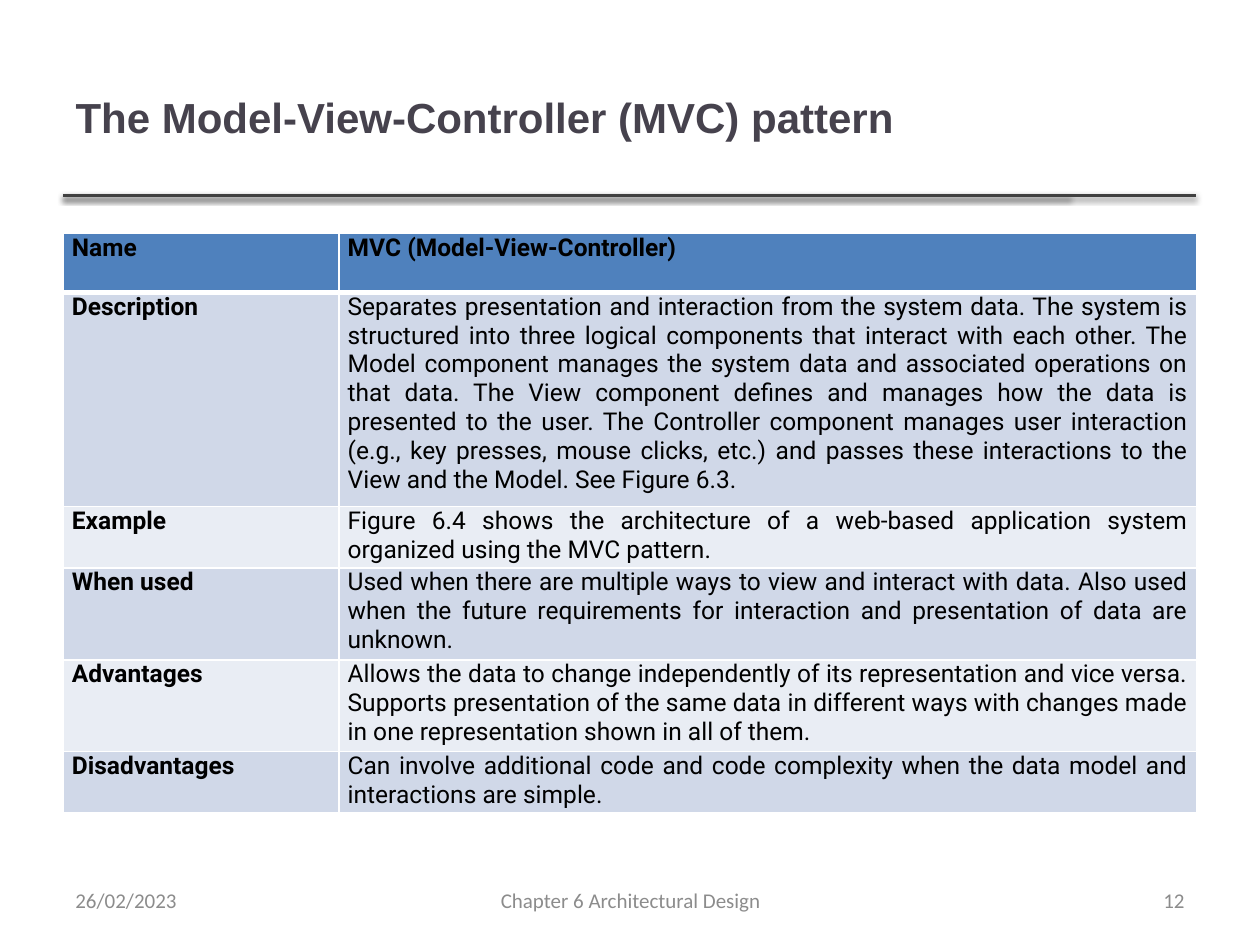
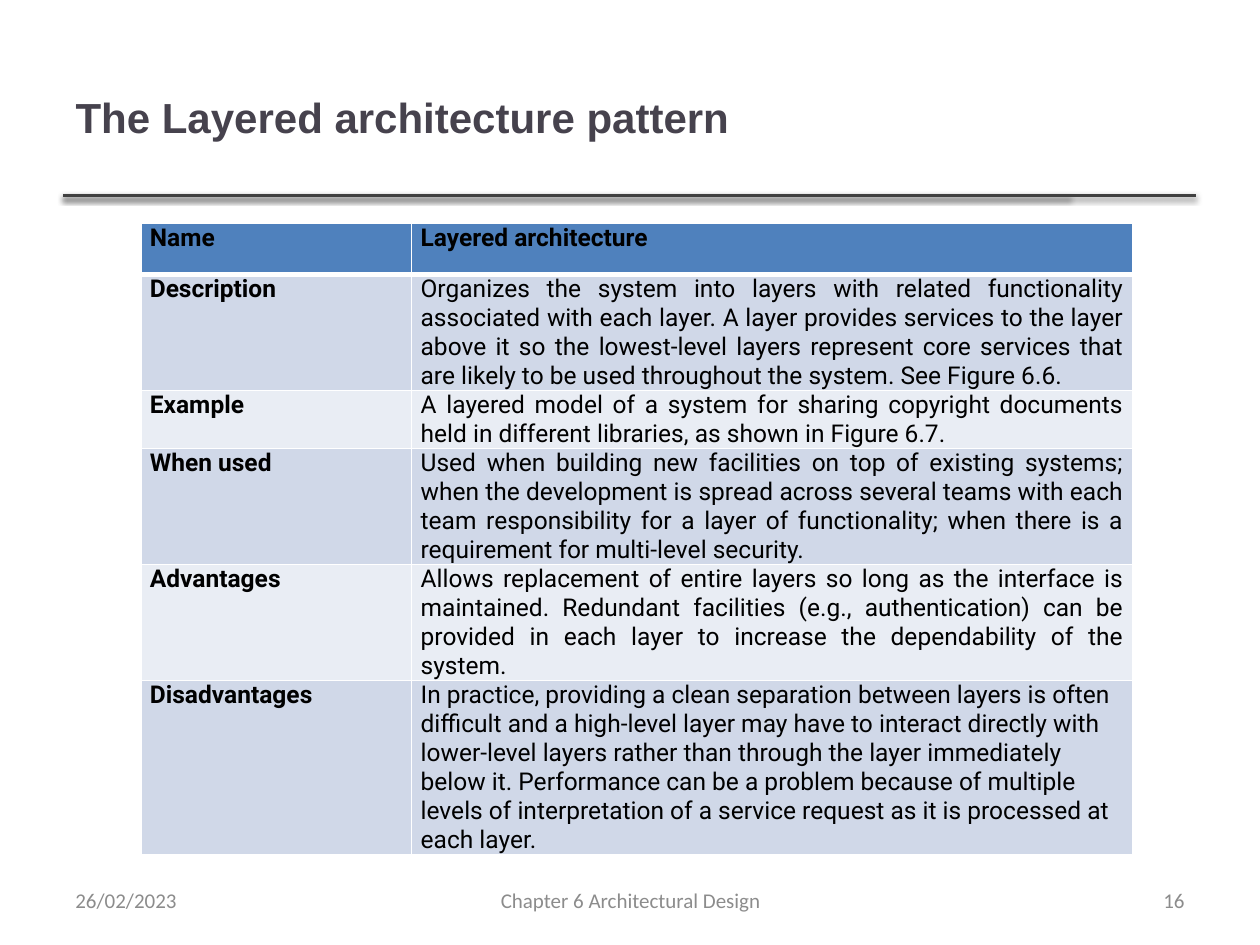
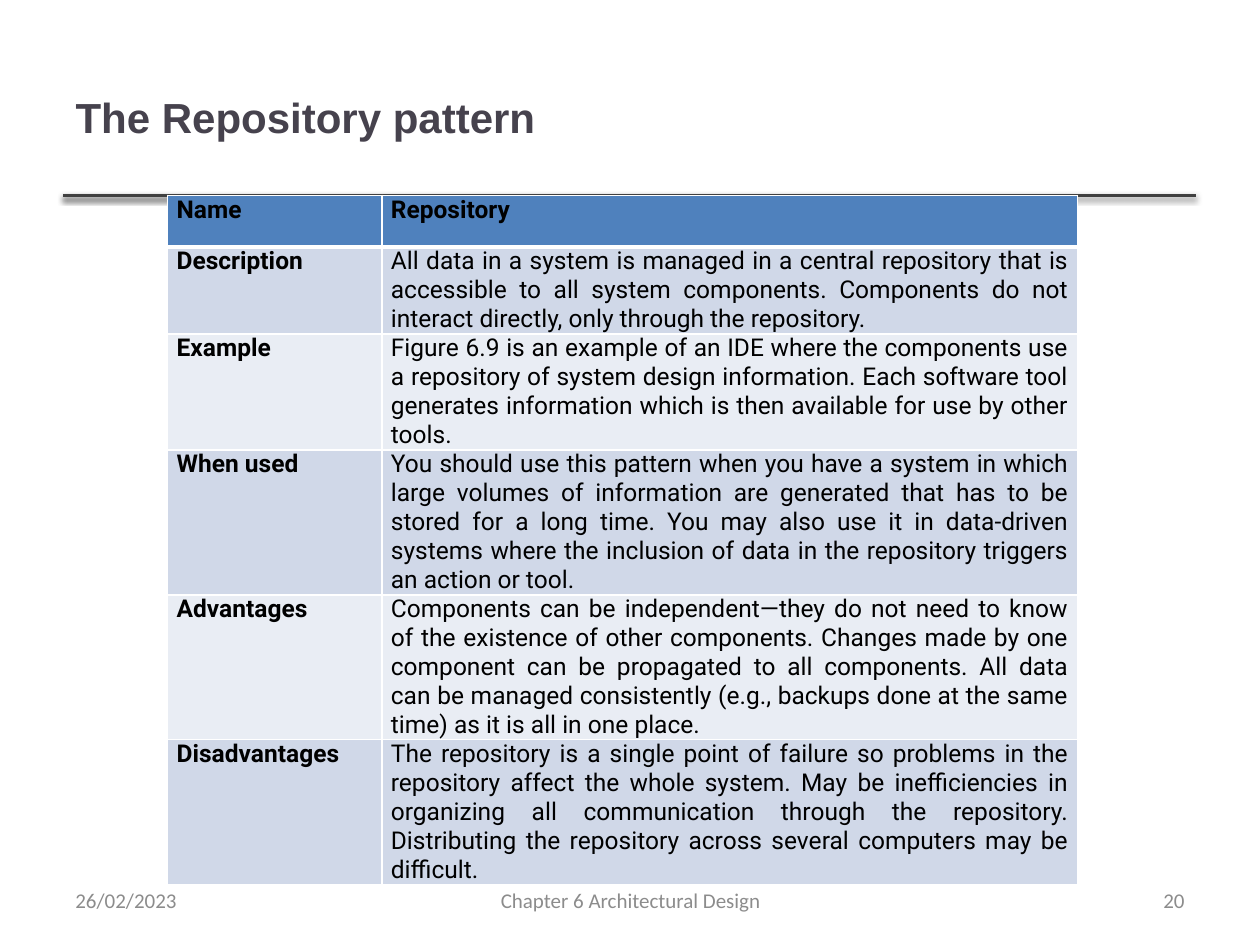
import pptx
import pptx.dml.color
import pptx.enum.shapes
import pptx.enum.text
import pptx.oxml
import pptx.oxml.ns
import pptx.util

Cm = pptx.util.Cm
Pt = pptx.util.Pt
ALIGN = pptx.enum.text.PP_ALIGN
MIDDLE = pptx.enum.text.MSO_ANCHOR.MIDDLE

COLORS = {
    "title": "46424D",
    "rule": "404040",
    "footer": "8C8C8C",
    "text": "000000",
    "header": "4F81BD",
    "band_dark": "D0D8E8",
    "band_light": "E9EDF4",
    "border": "FFFFFF",
    "shadow": "000000",
}
FORMATS = {
    "title": {"name": "Arial", "size": Pt(24), "bold": True},
    "footer": {"name": "Calibri", "size": Pt(12), "bold": False},
    "label": {"name": "Roboto", "size": Pt(14), "bold": True},
    "detail": {"name": "Roboto", "size": Pt(14), "bold": False},
}
LABELS = ["Name", "Description", "Example", "When used", "Advantages", "Disadvantages"]
EVEN_ROWS = [1.04] * len(LABELS)

PATTERNS = [
    {
        "title": "The Model-View-Controller (MVC) pattern",
        "number": "12",
        "box": (1.27, 4.7, 22.86, 11.68),
        "cols": (5.56, 17.3),
        "rows": [1.19, 4.32, 1.24, 1.85, 1.85, 1.24],
        "last_align": ALIGN.JUSTIFY,
        "details": [
            "MVC (Model-View-Controller)",
            "Separates presentation and interaction from the system data. The system is "
            "structured into three logical components that interact with each other. The "
            "Model component manages the system data and associated operations on that "
            "data. The View component defines and manages how the data is presented to the "
            "user. The Controller component manages user interaction (e.g., key presses, "
            "mouse clicks, etc.) and passes these interactions to the View and the Model. "
            "See Figure 6.3.",
            "Figure 6.4 shows the architecture of a web-based application system organized "
            "using the MVC pattern.",
            "Used when there are multiple ways to view and interact with data. Also used "
            "when the future requirements for interaction and presentation of data are "
            "unknown.",
            "Allows the data to change independently of its representation and vice versa. "
            "Supports presentation of the same data in different ways with changes made in "
            "one representation shown in all of them.",
            "Can involve additional code and code complexity when the data model and "
            "interactions are simple.",
        ],
    },
    {
        "title": "The Layered architecture pattern",
        "number": "16",
        "box": (2.84, 4.5, 19.99, 12.88),
        "cols": (5.46, 14.53),
        "rows": EVEN_ROWS,
        "last_align": ALIGN.LEFT,
        "details": [
            "Layered architecture",
            "Organizes the system into layers with related functionality associated with "
            "each layer. A layer provides services to the layer above it so the "
            "lowest-level layers represent core services that are likely to be used "
            "throughout the system. See Figure 6.6.",
            "A layered model of a system for sharing copyright documents held in different "
            "libraries, as shown in Figure 6.7.",
            "Used when building new facilities on top of existing systems; when the "
            "development is spread across several teams with each team responsibility for "
            "a layer of functionality; when there is a requirement for multi-level security.",
            "Allows replacement of entire layers so long as the interface is maintained. "
            "Redundant facilities (e.g., authentication) can be provided in each layer to "
            "increase the dependability of the system.",
            "In practice, providing a clean separation between layers is often difficult "
            "and a high-level layer may have to interact directly with lower-level layers "
            "rather than through the layer immediately below it. Performance can be a "
            "problem because of multiple levels of interpretation of a service request as "
            "it is processed at each layer.",
        ],
    },
    {
        "title": "The Repository pattern",
        "number": "20",
        "box": (3.38, 3.94, 18.34, 14.07),
        "cols": (4.32, 14.02),
        "rows": EVEN_ROWS,
        "last_align": ALIGN.JUSTIFY,
        "details": [
            "Repository",
            "All data in a system is managed in a central repository that is accessible to "
            "all system components. Components do not interact directly, only through the "
            "repository.",
            "Figure 6.9 is an example of an IDE where the components use a repository of "
            "system design information. Each software tool generates information which is "
            "then available for use by other tools.",
            "You should use this pattern when you have a system in which large volumes of "
            "information are generated that has to be stored for a long time. You may also "
            "use it in data-driven systems where the inclusion of data in the repository "
            "triggers an action or tool.",
            "Components can be independent—they do not need to know of the existence of "
            "other components. Changes made by one component can be propagated to all "
            "components. All data can be managed consistently (e.g., backups done at the "
            "same time) as it is all in one place.",
            "The repository is a single point of failure so problems in the repository "
            "affect the whole system. May be inefficiencies in organizing all communication "
            "through the repository. Distributing the repository across several computers "
            "may be difficult.",
        ],
    },
]


def rgb(name):
    return pptx.dml.color.RGBColor.from_string(COLORS[name])


def set_attrs(obj, values):
    for key, value in values.items():
        setattr(obj, key, value)


def xml(text):
    return pptx.oxml.parse_xml(text.replace(">", f' {pptx.oxml.ns.nsdecls("a")}>', 1))


class Deck:
    def __init__(self):
        self.prs = pptx.Presentation()
        set_attrs(self.prs, {"slide_width": Cm(25.4), "slide_height": Cm(19.05)})
        self.slide = None

    def new_slide(self):
        self.slide = self.prs.slides.add_slide(self.prs.slide_layouts[5])

    def add_text(self, tf, text, style, color, align):
        p = tf.paragraphs[0]
        p.alignment = align
        r = p.add_run()
        r.text = text
        set_attrs(r.font, FORMATS[style])
        r.font.color.rgb = rgb(color)

    def title(self, text):
        sp = self.slide.shapes.title
        set_attrs(sp, {"left": Cm(1.27), "top": Cm(0.76),
                       "width": Cm(20.27), "height": Cm(3.18)})
        set_attrs(sp.text_frame, {"vertical_anchor": MIDDLE, "word_wrap": True})
        self.add_text(sp.text_frame, text, "title", "title", ALIGN.LEFT)

    def rule(self, right):
        y = Cm(3.94)
        sp = self.slide.shapes.add_connector(
            pptx.enum.shapes.MSO_CONNECTOR.STRAIGHT, Cm(1.27), y, Cm(right), y)
        sp.line.width = Pt(2)
        sp.line.color.rgb = rgb("rule")
        sp._element.spPr.append(xml(
            '<a:effectLst><a:outerShdw blurRad="40000" dist="20000" dir="5400000" '
            f'rotWithShape="0"><a:srgbClr val="{COLORS["shadow"]}">'
            '<a:alpha val="38000"/></a:srgbClr></a:outerShdw></a:effectLst>'))

    def footer(self, text, left, width, align):
        sp = self.slide.shapes.add_textbox(Cm(left), Cm(17.65), Cm(width), Cm(1.01))
        set_attrs(sp.text_frame, {"word_wrap": True, "vertical_anchor": MIDDLE})
        self.add_text(sp.text_frame, text, "footer", "footer", align)

    def borders(self, cell, row):
        heavy = {0: "B", 1: "T"}.get(row)
        for side in "LRTB":
            width = Pt(3 if side == heavy else 1)
            cell._tc.get_or_add_tcPr().append(xml(
                f'<a:ln{side} w="{width}"><a:solidFill>'
                f'<a:srgbClr val="{COLORS["border"]}"/></a:solidFill></a:ln{side}>'))

    def cell(self, cell, row, text, style, align):
        set_attrs(cell, {"margin_left": Cm(0.18), "margin_right": Cm(0.18),
                         "margin_top": 0, "margin_bottom": 0})
        self.borders(cell, row)
        cell.fill.solid()
        band = "band_dark" if row % 2 else "band_light"
        cell.fill.fore_color.rgb = rgb(band if row else "header")
        self.add_text(cell.text_frame, text, style, "text", align)

    def table(self, box, cols, rows, details, last_align):
        gf = self.slide.shapes.add_table(len(rows), len(cols), *map(Cm, box))
        tbl = gf.table
        for col, width in zip(tbl.columns, cols):
            col.width = Cm(width)
        for i, (label, detail) in enumerate(zip(LABELS, details)):
            tbl.rows[i].height = Cm(rows[i])
            align = last_align if i == len(rows) - 1 else ALIGN.JUSTIFY
            self.cell(tbl.cell(i, 0), i, label, "label", ALIGN.JUSTIFY)
            self.cell(tbl.cell(i, 1), i, detail, "detail" if i else "label", align)
        gf.height = Cm(box[3])


def main():
    deck = Deck()
    for pattern in PATTERNS:
        deck.new_slide()
        for right in (21.56, 24.1):
            deck.rule(right)
        deck.title(pattern["title"])
        deck.table(pattern["box"], pattern["cols"], pattern["rows"],
                   pattern["details"], pattern["last_align"])
        deck.footer("Chapter 6 Architectural Design", 8.69, 8.05, ALIGN.CENTER)
        deck.footer(pattern["number"], 18.21, 5.92, ALIGN.RIGHT)
        deck.footer("26/02/2023", 1.27, 5.92, ALIGN.LEFT)
    deck.prs.save("out.pptx")


if __name__ == "__main__":
    main()
